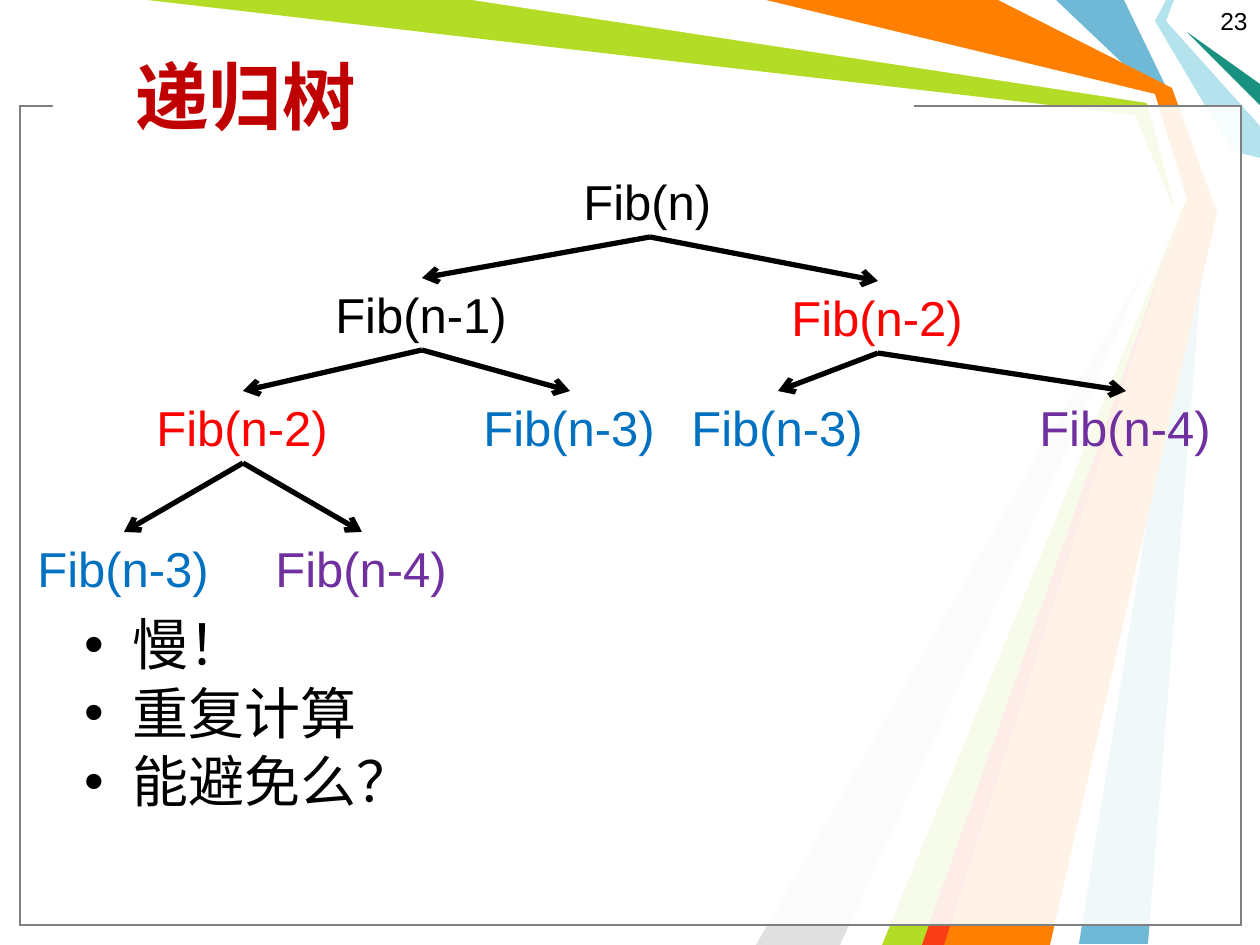
from lxml.etree import SubElement
from pptx import Presentation
from pptx.dml.color import RGBColor as RGB
from pptx.enum.shapes import MSO_CONNECTOR as LINK, MSO_SHAPE as SHAPE
from pptx.enum.text import MSO_ANCHOR as ANCHOR, MSO_AUTO_SIZE as FIT, PP_ALIGN as ALIGN
from pptx.oxml.ns import qn
from pptx.util import Pt

PX = 914400 / 126
LATIN, HAN = "Arial", "Noto Sans CJK SC"

BLACK = RGB(0, 0, 0)
WHITE = RGB(0xFF, 0xFF, 0xFF)
GRAY = RGB(0x80, 0x80, 0x80)
SILVER = RGB(0xE0, 0xE0, 0xE0)
SKY = RGB(0x6F, 0xB9, 0xD7)
LIME = RGB(0xB3, 0xDC, 0x27)
AQUA = RGB(0xB4, 0xE3, 0xEE)
TEAL = RGB(0x18, 0x91, 0x80)
ORANGE = RGB(0xFF, 0x7F, 0)
SCARLET = RGB(0xF9, 0x3D, 0x17)
CRIMSON = RGB(0xC0, 0, 0)
RED = RGB(0xFF, 0, 0)
BLUE = RGB(0, 0x70, 0xC0)
PURPLE = RGB(0x70, 0x30, 0xA0)

RIBBONS = [
    (SKY, [(1124, 0), (1171, 97), (1207, 210), (1148, 944), (1079, 944),
           (1197, 210), (1155, 94), (1056, 0)]),
    (LIME, [(147, 0), (483, 0), (1152, 98), (1187, 213), (935, 945),
            (872, 945), (1178, 218), (1135, 115)]),
    (SILVER, [(840, 945), (1168, 228), (756, 945)]),
    (WHITE, [(472, 0), (1147, 103), (1174, 204), (850, 945), (882, 945),
             (1186, 199), (1155, 94), (756, 0)]),
    (AQUA, [(1166, 0), (1155, 21), (1232, 151), (1260, 158), (1260, 126),
            (1166, 21), (1174, 0)]),
    (TEAL, [(1260, 105), (1187, 32), (1260, 84)]),
    (ORANGE, [(766, 0), (998, 0), (1172, 88), (1217, 213), (1050, 945),
              (924, 945), (1187, 199), (1155, 94)]),
    (SCARLET, [(922, 945), (1174, 231), (944, 945)]),
]

# Each node: centre x, top, argument, colour, children
TREE = (650, 165, "n", BLACK, [
    (422, 278, "n-1", BLACK, [
        (243, 391, "n-2", RED, [
            (124, 532, "n-3", BLUE, []),
            (362, 532, "n-4", PURPLE, []),
        ]),
        (570, 391, "n-3", BLUE, []),
    ]),
    (878, 281, "n-2", RED, [
        (778, 391, "n-3", BLUE, []),
        (1126, 391, "n-4", PURPLE, []),
    ]),
])


def emu(*vals):
    return [round(v * PX) for v in vals]


def style(par, size, color, face, bold=False):
    for run in par.runs:
        font = run.font
        font.size, font.bold, font.name = Pt(size), bold, face
        font.color.rgb = color
        SubElement(font._element, qn("a:ea"), typeface=face)


def add_text(slide, area, text, size, color, face, bold=False):
    box = slide.shapes.add_textbox(*emu(*area))
    frame = box.text_frame
    frame.word_wrap = True
    frame.text = text
    for par in frame.paragraphs:
        style(par, size, color, face, bold)
    return box


def add_ribbon(slide, color, pts):
    form = slide.shapes.build_freeform(*pts[0], scale=PX)
    form.add_line_segments(pts[1:], close=True)
    shape = form.convert_to_shape()
    shape.shadow.inherit = False
    shape.fill.solid()
    shape.fill.fore_color.rgb = color
    shape.line.fill.background()


def add_panel(slide, area, edge=None, alpha=None):
    """Add a white rectangle; alpha is its opacity in percent."""
    shape = slide.shapes.add_shape(SHAPE.RECTANGLE, *emu(*area))
    shape.shadow.inherit = False
    shape.fill.solid()
    shape.fill.fore_color.rgb = WHITE
    if alpha:
        tone = shape._element.spPr.find(qn("a:solidFill"))[0]
        SubElement(tone, qn("a:alpha"), val=str(alpha * 1000))
    if edge is None:
        shape.line.fill.background()
    else:
        shape.line.color.rgb = edge
        shape.line.width = Pt(0.75)


def add_arrow(slide, start, end):
    link = slide.shapes.add_connector(LINK.STRAIGHT, 0, 0, 0, 0)
    link.begin_connect(start, 2)
    link.end_connect(end, 0)
    link.line.color.rgb = BLACK
    link.line.width = Pt(3)
    SubElement(link.line._get_or_add_ln(), qn("a:tailEnd"), type="arrow")
    SubElement(link._element.spPr, qn("a:effectLst"))


def add_node(slide, node):
    """Add a call with its subtree and return its box."""
    mid, top, arg, color, kids = node
    wide = 158 if arg == "n" else 198
    area = (mid - wide / 2, top, wide, 72)
    box = add_text(slide, area, f"Fib({arg})", 28, color, LATIN)
    box.text_frame.word_wrap = False
    box.text_frame.auto_size = FIT.SHAPE_TO_FIT_TEXT
    for kid in kids:
        add_arrow(slide, box, add_node(slide, kid))
    return box


def add_list(slide, area, items):
    box = add_text(slide, area, "\n".join(items), 32, BLACK, HAN)
    for num, par in enumerate(box.text_frame.paragraphs):
        par.line_spacing = 0.9
        if num:
            par.space_before = Pt(4.5)
        props = par._p.get_or_add_pPr()
        dent = emu(48)[0]
        props.set("marL", str(dent))
        props.set("indent", str(-dent))
        SubElement(props, qn("a:buFont"), typeface=LATIN)
        SubElement(props, qn("a:buChar"), char="•")


def main():
    deck = Presentation()
    deck.slide_width, deck.slide_height = emu(1260, 945)
    slide = deck.slides.add_slide(deck.slide_layouts[6])

    for color, pts in RIBBONS:
        add_ribbon(slide, color, pts)
    for edge in (BLACK, GRAY):
        add_panel(slide, (20, 106, 1221, 819), edge, 69)
    add_panel(slide, (53, 93, 861, 21))

    page = add_text(slide, (966, 0, 294, 66), "23", 14, BLACK, LATIN)
    page.text_frame.paragraphs[0].alignment = ALIGN.RIGHT
    title = add_text(slide, (123, 16, 932, 158), "递归树", 42, CRIMSON, HAN, True)
    title.text_frame.vertical_anchor = ANCHOR.MIDDLE

    add_node(slide, TREE)
    add_list(slide, (72, 611, 1134, 248), ["慢！", "重复计算", "能避免么？"])
    deck.save("out.pptx")


if __name__ == "__main__":
    main()
